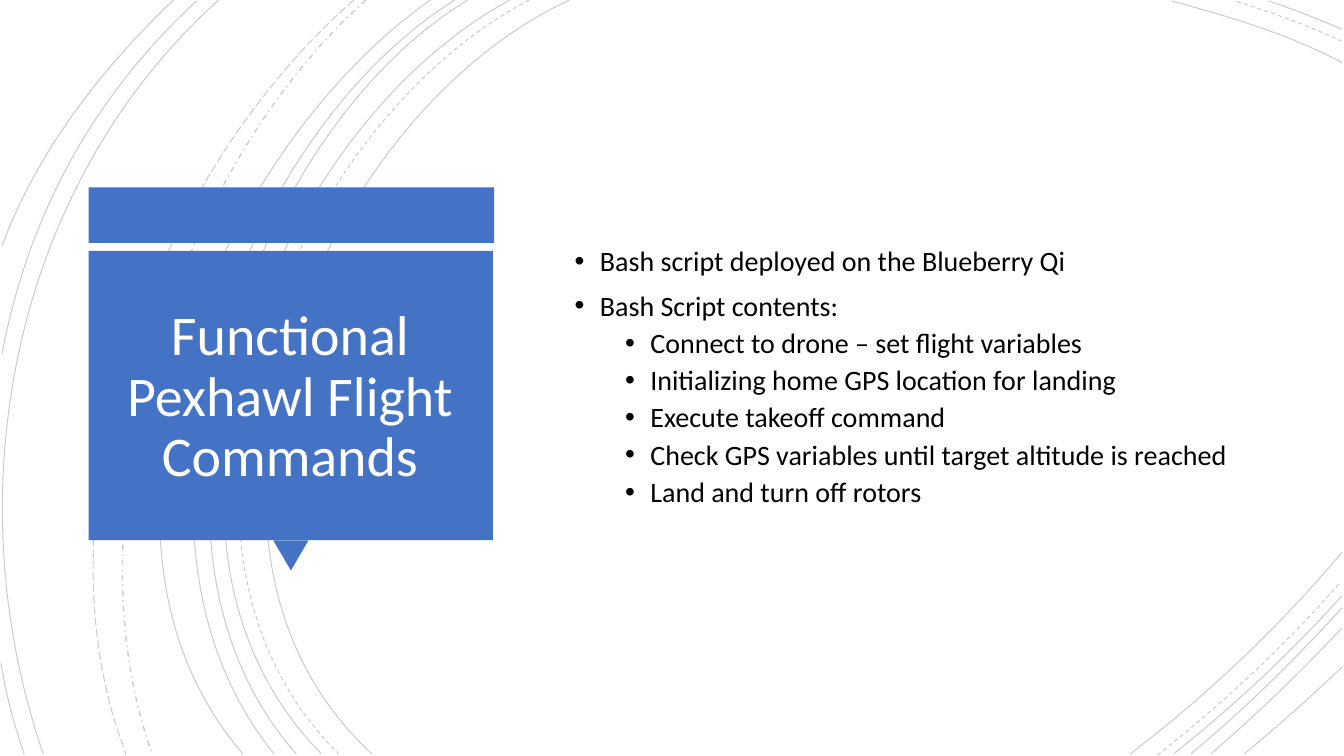
"""Build the flight commands slide with its curved line backdrop."""
from typing import NamedTuple

from lxml.etree import SubElement
from pptx import Presentation
from pptx.dml.color import RGBColor
from pptx.enum.dml import MSO_LINE
from pptx.enum.shapes import MSO_SHAPE
from pptx.enum.text import MSO_ANCHOR, MSO_AUTO_SIZE, PP_ALIGN
from pptx.oxml.ns import qn
from pptx.shapes.base import BaseShape
from pptx.slide import Slide
from pptx.text.text import TextFrame
from pptx.util import Emu, Inches, Pt

PX = 9144
BLACK = RGBColor(0x00, 0x00, 0x00)
WHITE = RGBColor(0xFF, 0xFF, 0xFF)
BLUE = RGBColor(0x44, 0x72, 0xC4)
FONT = "Calibri"
ARC_OPACITY = 20000


class Box(NamedTuple):
    left: int
    top: int
    width: int
    height: int


class Arc(NamedTuple):
    start: tuple[int, int]
    bend_out: tuple[int, int]
    bend_in: tuple[int, int]
    end: tuple[int, int]
    dash: MSO_LINE = MSO_LINE.SOLID
    weight: float = 0.75


class Panel(NamedTuple):
    kind: MSO_SHAPE
    box: Box
    rotation: int = 0


class Item(NamedTuple):
    text: str
    level: int = 0


ARCS = [
    Arc((565, 0), (315, 115), (143, 540), (369, 748)),
    Arc((1331, 62), (1278, 34), (1218, 16), (1162, 1)),
    Arc((1121, 748), (1197, 690), (1269, 622), (1331, 548)),
    Arc((525, 0), (285, 125), (123, 537), (336, 748), MSO_LINE.DASH),
    Arc((1331, 41), (1297, 25), (1260, 12), (1225, 1), MSO_LINE.DASH),
    Arc((1148, 749), (1213, 698), (1275, 640), (1330, 577), MSO_LINE.DASH),
    Arc((506, 0), (270, 127), (110, 537), (319, 748)),
    Arc((1331, 29), (1307, 19), (1283, 9), (1258, 1)),
    Arc((1164, 748), (1223, 701), (1280, 648), (1331, 591)),
    Arc((464, 0), (244, 133), (110, 541), (294, 748)),
    Arc((1181, 748), (1234, 704), (1284, 655), (1331, 603)),
    Arc((451, 0), (231, 138), (97, 533), (272, 748)),
    Arc((1201, 748), (1246, 709), (1290, 667), (1331, 623)),
    Arc((427, 0), (217, 147), (53, 529), (241, 748)),
    Arc((1234, 748), (1267, 721), (1299, 692), (1331, 662)),
    Arc((363, 0), (176, 166), (65, 509), (151, 748), MSO_LINE.DASH_DOT, 1),
    Arc((351, 0), (157, 169), (29, 499), (125, 748), MSO_LINE.LONG_DASH),
    Arc((217, 0), (11, 185), (-46, 490), (43, 748)),
    Arc((195, 1), (92, 96), (28, 214), (2, 351)),
    Arc((1, 658), (6, 689), (14, 719), (24, 748)),
    Arc((172, 0), (100, 69), (37, 150), (2, 244)),
]

PANELS = [
    Panel(MSO_SHAPE.RECTANGLE, Box(88, 186, 402, 55)),
    Panel(MSO_SHAPE.ISOSCELES_TRIANGLE, Box(271, 536, 35, 30), 180),
    Panel(MSO_SHAPE.RECTANGLE, Box(88, 249, 401, 287)),
]

TITLE = "Functional Pexhawl Flight Commands"
TITLE_BOX = Box(99, 264, 377, 262)
STEPS_BOX = Box(560, 88, 687, 574)
STEPS = [
    Item("Bash script deployed on the Blueberry Qi"),
    Item("Bash Script contents:"),
    Item("Connect to drone – set flight variables", 1),
    Item("Initializing home GPS location for landing", 1),
    Item("Execute takeoff command", 1),
    Item("Check GPS variables until target altitude is reached", 1),
    Item("Land and turn off rotors", 1),
]


def scaled(box: Box) -> list[Emu]:
    """Turn a box in px into EMU lengths."""
    return [Emu(length * PX) for length in box]


def draw_arc(slide: Slide, arc: Arc) -> None:
    """Draw one faint cubic curve."""
    builder = slide.shapes.build_freeform(*arc.start, scale=PX)
    builder.add_line_segments([arc.bend_out, arc.bend_in, arc.end], close=False)
    curve = builder.convert_to_shape()
    curve.shadow.inherit = False
    curve.fill.background()
    curve.line.color.rgb = BLACK
    curve.line.width = Pt(arc.weight)
    curve.line.dash_style = arc.dash

    outline = next(curve.element.iter(qn("a:path")))
    bezier = SubElement(outline, qn("a:cubicBezTo"))
    for segment in outline.findall(qn("a:lnTo")):
        bezier.append(segment[0])
        outline.remove(segment)
    line_color = next(curve.line._ln.iter(qn("a:srgbClr")))
    SubElement(line_color, qn("a:alpha"), val=str(ARC_OPACITY))


def draw_panel(slide: Slide, panel: Panel) -> None:
    """Draw one part of the blue title callout."""
    part = slide.shapes.add_shape(panel.kind, *scaled(panel.box))
    part.rotation = panel.rotation
    part.shadow.inherit = False
    part.fill.solid()
    part.fill.fore_color.rgb = BLUE
    part.line.fill.background()


def place(slide: Slide, placeholder: BaseShape, box: Box) -> TextFrame:
    """Move a placeholder to its box, in front, and return its text frame."""
    (placeholder.left, placeholder.top,
     placeholder.width, placeholder.height) = scaled(box)
    slide.shapes.element.append(placeholder.element)
    frame = placeholder.text_frame
    frame.word_wrap = True
    frame.auto_size = MSO_AUTO_SIZE.NONE
    frame.vertical_anchor = MSO_ANCHOR.MIDDLE
    return frame


def write_title(slide: Slide) -> None:
    """Write the title over the callout."""
    frame = place(slide, slide.shapes.title, TITLE_BOX)
    frame.text = TITLE
    heading = frame.paragraphs[0]
    heading.alignment = PP_ALIGN.CENTER
    heading.line_spacing = 0.9
    heading.font.name = FONT
    heading.font.size = Pt(40)
    heading.font.color.rgb = WHITE


def write_steps(slide: Slide) -> None:
    """Write the bulleted script steps."""
    frame = place(slide, slide.placeholders[1], STEPS_BOX)
    frame.text = "\n".join(step.text for step in STEPS)
    for step, paragraph in zip(STEPS, frame.paragraphs):
        paragraph.level = step.level
        paragraph.line_spacing = 0.9
        paragraph.space_before = Pt(5 if step.level else 10)
        properties = paragraph._p.get_or_add_pPr()
        properties.set("marL", str(Inches(0.25 + 0.5 * step.level)))
        properties.set("indent", str(Inches(-0.25)))
        SubElement(properties, qn("a:buFont"), typeface="Arial")
        SubElement(properties, qn("a:buChar"), char="•")
        paragraph.font.name = FONT
        paragraph.font.size = Pt(20)
        paragraph.font.color.rgb = BLACK


def main() -> None:
    """Build and save the slide."""
    deck = Presentation()
    deck.slide_width = Inches(13.33)
    deck.slide_height = Inches(7.5)
    slide = deck.slides.add_slide(deck.slide_layouts[1])
    for arc in ARCS:
        draw_arc(slide, arc)
    for panel in PANELS:
        draw_panel(slide, panel)
    write_title(slide)
    write_steps(slide)
    deck.save("out.pptx")


if __name__ == "__main__":
    main()
